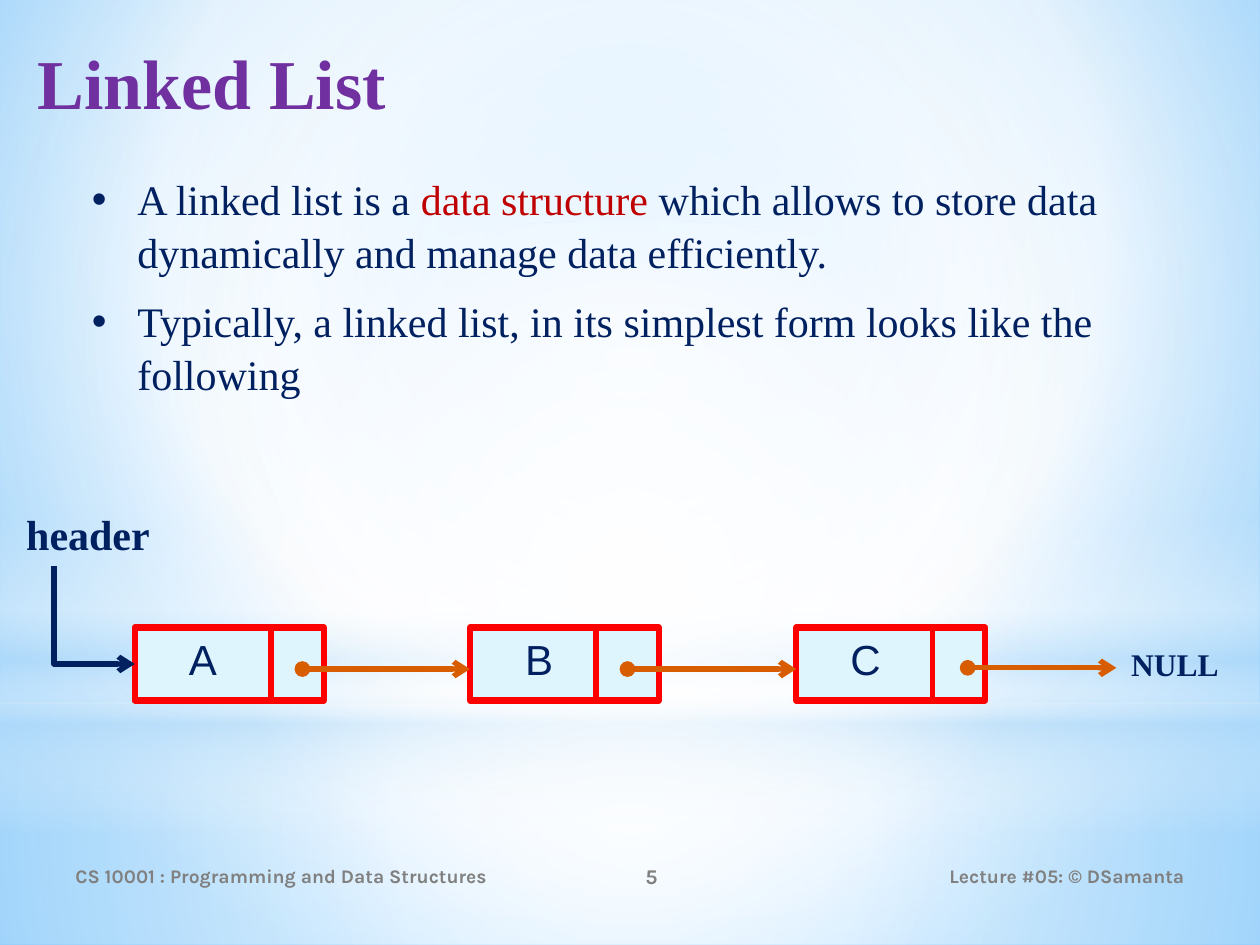
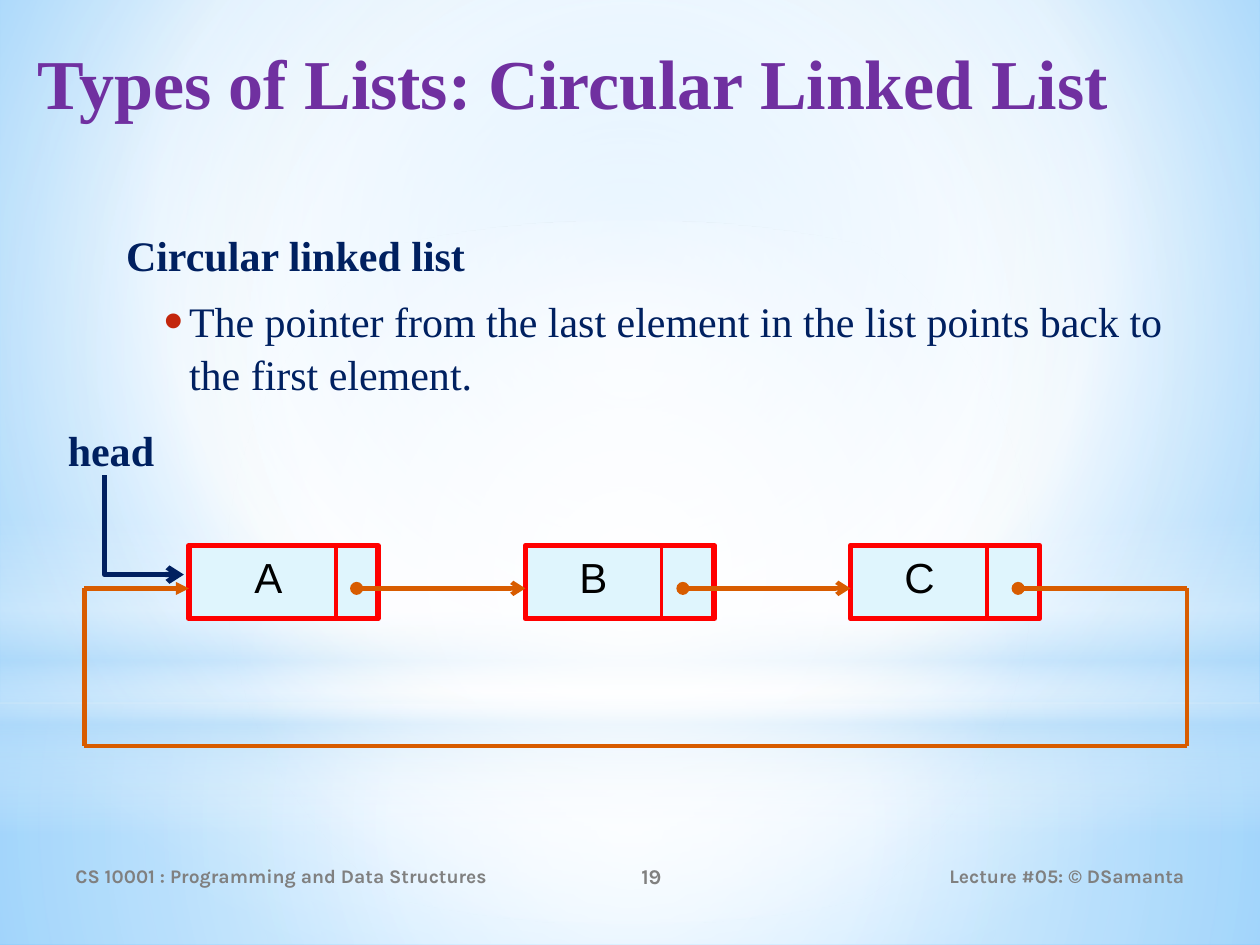
"""Build two lecture slides on singly linked and circular linked lists."""
from lxml.etree import SubElement
from pptx import Presentation
from pptx.dml.color import RGBColor
from pptx.enum.shapes import MSO_CONNECTOR as Connector, MSO_SHAPE as Shape
from pptx.enum.text import MSO_ANCHOR as Anchor, MSO_AUTO_SIZE as AutoSize, PP_ALIGN as Align
from pptx.oxml import parse_xml
from pptx.oxml.ns import nsdecls, qn
from pptx.util import Inches, Pt

COLORS = {
    "title": "7030A0", "text": "002060", "accent": "C00000", "bullet": "C3260C",
    "footer": "808080", "node": "DFF5FD", "border": "FF0000", "pointer": "D85C00",
    "black": "000000", "white": "FFFFFF", "sky": "B4DCFA",
    "sky_left": "9ED5FF", "sky_edge": "5BB9FF",
}
SERIF, SANS, FOOTER_FONT = "Times New Roman", "Arial", "Karla"
TITLE_BOX = (0.2, 0.21, 9.53, 1.1)
NODE_SIZE = (1.5, 0.58)
LABEL_SIZE = (0.67, 0.5)
CENTER = (50, 50, 50, 50)

BACKGROUND = ([(0, "sky_left", 100), (60, "white", 100), (100, "sky_edge", 100)], (20, 10, 20, 60))
GLOWS = [
    (Shape.RECTANGLE, (0, 5.58, 10, 1.92),
     [(0, "white", 91), (37, "white", 76), (100, "sky", 79)], CENTER),
    (Shape.RECTANGLE, (0, 0, 10, 5.58),
     [(0, "white", 89), (48, "white", 62), (100, "sky", 79)], CENTER),
    (Shape.RECTANGLE, (0, 4.12, 10, 2.5),
     [(0, "white", 0), (29, "white", 30), (45, "sky", 40),
      (55, "white", 26), (65, "sky", 60), (100, "white", 0)], None),
    (Shape.OVAL, (0, 1.75, 10, 5.58), [(0, "white", 100), (56, "white", 0)], CENTER),
]
FOOTERS = [
    ("CS 10001 : Programming and Data Structures", (0.5, 6.75, 3.67, 0.4), 11, Align.LEFT),
    ("{number}", (4.17, 6.75, 2, 0.4), 12, Align.CENTER),
    ("Lecture #05: © DSamanta", (6.75, 6.75, 2.75, 0.4), 11, Align.RIGHT),
]

PLAIN_BULLET = {"left": 0.48, "indent": -0.36, "bullet": ("text", 100), "after": 4.5}
SLIDES = [
    {
        "title": "Linked List", "number": 5, "body_box": (0.51, 1.31, 9.29, 3.23),
        "body": [
            {**PLAIN_BULLET, "runs": [
                ("A linked list is a ", "text", False), ("data structure ", "accent", False),
                ("which allows to store data dynamically and manage data efficiently.", "text", False)]},
            {**PLAIN_BULLET, "runs": [
                ("Typically, a linked list, in its simplest form looks like the following", "text", False)]},
        ],
        "node_top": 4.98, "border": 3.5, "divider": 3.25, "pointer": 3, "letter": "text",
        "nodes": [("A", 1.07, 1.4, 2.15), ("B", 3.73, 4.07, 4.73), ("C", 6.32, 6.65, 7.4)],
        "pointers": [((2.4, 5.31), (3.73, 5.31), "oval", "arrow"),
                     ((4.98, 5.31), (6.32, 5.31), "oval", "arrow"),
                     ((7.68, 5.3), (8.86, 5.3), "oval", "arrow")],
        "entry": ((0.43, 4.49), (1.07, 5.27)),
        "labels": [("header", (0.11, 3.99, 1.19, 0.5), 24), ("NULL", (8.88, 5.07, 0.94, 0.4), 18)],
    },
    {
        "title": "Types of Lists: Circular Linked List", "number": 19, "body_box": (0.5, 1.75, 9, 4.95),
        "body": [
            {"level": 1, "left": 0.4, "indent": 0, "bullet": None, "after": 3,
             "runs": [("Circular linked list", "text", True)]},
            {"level": 2, "left": 0.9, "indent": -0.2, "bullet": ("bullet", 130), "after": 3, "runs": [
                ("The pointer from the last element in the list points back to the first element.",
                 "text", False)]},
        ],
        "node_top": 4.33, "border": 3.25, "divider": 2.25, "pointer": 2.5, "letter": "black",
        "nodes": [("A", 1.5, 1.92, 2.67), ("B", 4.17, 4.5, 5.25), ("C", 6.75, 7.08, 7.83)],
        "pointers": [((2.83, 4.67), (4.17, 4.67), "oval", "arrow"),
                     ((5.42, 4.67), (6.75, 4.67), "oval", "arrow"),
                     ((8.08, 4.67), (9.42, 4.67), "oval", None),
                     ((9.42, 4.67), (9.42, 5.92), None, None),
                     ((9.42, 5.92), (0.67, 5.92), None, None),
                     ((0.67, 5.92), (0.67, 4.67), None, None),
                     ((0.67, 4.67), (1.5, 4.67), None, "triangle")],
        "entry": ((0.83, 3.77), (1.46, 4.56)),
        "labels": [("head", (0.44, 3.32, 0.94, 0.5), 24)],
    },
]


def color(name):
    return RGBColor.from_string(COLORS[name])


def inches(values):
    return [Inches(value) for value in values]


def apply(target, formats):
    for name, value in formats.items():
        setattr(target, name, value)


def add_run(paragraph, text, size, font, color_name, bold=False):
    run = paragraph.add_run()
    run.text = text
    apply(run.font, {"size": Pt(size), "name": font, "bold": bold})
    run.font.color.rgb = color(color_name)


def add_label(slide, text, box, size, font, color_name, bold=False,
              align=Align.LEFT, anchor=Anchor.TOP, before=2):
    frame = slide.shapes.add_textbox(*inches(box)).text_frame
    apply(frame, {"word_wrap": True, "vertical_anchor": anchor})
    paragraph = frame.paragraphs[0]
    apply(paragraph, {"alignment": align, "space_before": Pt(before)})
    add_run(paragraph, text, size, font, color_name, bold)


def add_line(slide, start, end, color_name, width, head=None, tail=None, kind=Connector.STRAIGHT):
    connector = slide.shapes.add_connector(kind, *inches(start + end))
    connector.line.color.rgb = color(color_name)
    connector.line.width = Pt(width)
    properties = connector.element.spPr
    line = properties.find(qn("a:ln"))
    for tag, arrowhead in (("a:headEnd", head), ("a:tailEnd", tail)):
        if arrowhead:
            SubElement(line, qn(tag), type=arrowhead)
    SubElement(properties, qn("a:effectLst"))
    return connector


def add_entry_arrow(slide, start, end):
    """Draw an elbow that runs down first and then right."""
    center_x, center_y = (start[0] + end[0]) / 2, (start[1] + end[1]) / 2
    half_width, half_height = (end[0] - start[0]) / 2, (end[1] - start[1]) / 2
    elbow = add_line(slide, (center_x + half_height, center_y - half_width),
                     (center_x - half_height, center_y + half_width),
                     "text", 3, tail="arrow", kind=Connector.ELBOW)
    properties = elbow.element.spPr
    properties.find(qn("a:xfrm")).set("rot", "16200000")
    properties.find(qn("a:prstGeom")).set("prst", "bentConnector2")


def set_gradient(element, stops, focus):
    """Replace the first solid fill of an element by a gradient."""
    stop_xml = "".join(
        f'<a:gs pos="{position * 1000}"><a:srgbClr val="{COLORS[name]}">'
        f'<a:alpha val="{opacity * 1000}"/></a:srgbClr></a:gs>'
        for position, name, opacity in stops)
    if focus:
        sides = " ".join(f'{side}="{value * 1000}"' for side, value in zip("ltrb", focus))
        direction = f'<a:path path="circle"><a:fillToRect {sides}/></a:path>'
    else:
        direction = '<a:lin ang="5400000" scaled="0"/>'
    gradient = parse_xml(f'<a:gradFill {nsdecls("a")} rotWithShape="1">'
                         f'<a:gsLst>{stop_xml}</a:gsLst>{direction}</a:gradFill>')
    solid = next(element.iter(qn("a:solidFill")))
    solid.getparent().replace(solid, gradient)


def decorate_master(master, slide):
    fill = master.background.fill
    fill.solid()
    fill.fore_color.rgb = color("white")
    set_gradient(master.element, *BACKGROUND)
    for index, (kind, box, stops, focus) in enumerate(GLOWS):
        glow = slide.shapes.add_shape(kind, *inches(box))
        glow.shadow.inherit = False
        glow.fill.solid()
        glow.fill.fore_color.rgb = color("white")
        glow.line.fill.background()
        set_gradient(glow.element, stops, focus)
        glow.element.nvSpPr.cNvPr.set("id", str(100 + index))
        master.shapes.element.insert(2 + index, glow.element)


def place(placeholder, box):
    apply(placeholder, dict(zip(("left", "top", "width", "height"), inches(box))))
    apply(placeholder.text_frame, {"word_wrap": True, "auto_size": AutoSize.NONE,
                                   "vertical_anchor": Anchor.TOP})
    return placeholder.text_frame


def fill_title(slide, text):
    frame = place(slide.shapes.title, TITLE_BOX)
    frame.margin_top = Inches(0.1)
    paragraph = frame.paragraphs[0]
    paragraph.alignment = Align.LEFT
    add_run(paragraph, text, 40, SERIF, "title", True)


def fill_body(slide, box, items):
    frame = place(slide.placeholders[1], box)
    for index, item in enumerate(items):
        paragraph = frame.add_paragraph() if index else frame.paragraphs[0]
        apply(paragraph, {"level": item.get("level", 0), "alignment": Align.LEFT,
                          "line_spacing": 1.05, "space_before": Pt(4.8),
                          "space_after": Pt(item["after"])})
        properties = paragraph._p.get_or_add_pPr()
        properties.set("marL", str(Inches(item["left"])))
        properties.set("indent", str(Inches(item["indent"])))
        if item["bullet"]:
            color_name, percent = item["bullet"]
            bullet_color = SubElement(properties, qn("a:buClr"))
            SubElement(bullet_color, qn("a:srgbClr"), val=COLORS[color_name])
            SubElement(properties, qn("a:buSzPct"), val=str(percent * 1000))
            SubElement(properties, qn("a:buFont"), typeface=SANS)
            SubElement(properties, qn("a:buChar"), char="•")
        else:
            SubElement(properties, qn("a:buNone"))
        for text, color_name, bold in item["runs"]:
            add_run(paragraph, text, 24, SERIF, color_name, bold)


def draw_list(slide, content):
    top = content["node_top"]
    for letter, left, label_left, divider in content["nodes"]:
        node = slide.shapes.add_shape(Shape.RECTANGLE, *inches((left, top) + NODE_SIZE))
        node.shadow.inherit = False
        node.fill.solid()
        node.fill.fore_color.rgb = color("node")
        node.line.color.rgb = color("border")
        node.line.width = Pt(content["border"])
        add_line(slide, (divider, top), (divider, top + NODE_SIZE[1]), "border", content["divider"])
        add_label(slide, letter, (label_left, top) + LABEL_SIZE, 24, SANS, content["letter"])
    for start, end, head, tail in content["pointers"]:
        add_line(slide, start, end, "pointer", content["pointer"], head, tail)
    add_entry_arrow(slide, *content["entry"])
    for text, box, size in content["labels"]:
        add_label(slide, text, box, size, SERIF, "text", True)


def main():
    presentation = Presentation()
    apply(presentation, {"slide_width": Inches(10), "slide_height": Inches(7.5)})
    for index, content in enumerate(SLIDES):
        slide = presentation.slides.add_slide(presentation.slide_layouts[1])
        if index == 0:
            decorate_master(presentation.slide_master, slide)
        fill_title(slide, content["title"])
        fill_body(slide, content["body_box"], content["body"])
        for text, box, size, align in FOOTERS:
            add_label(slide, text.format(number=content["number"]), box, size, FOOTER_FONT,
                      "footer", True, align, Anchor.MIDDLE, 0)
        draw_list(slide, content)
    presentation.save("out.pptx")


if __name__ == "__main__":
    main()
